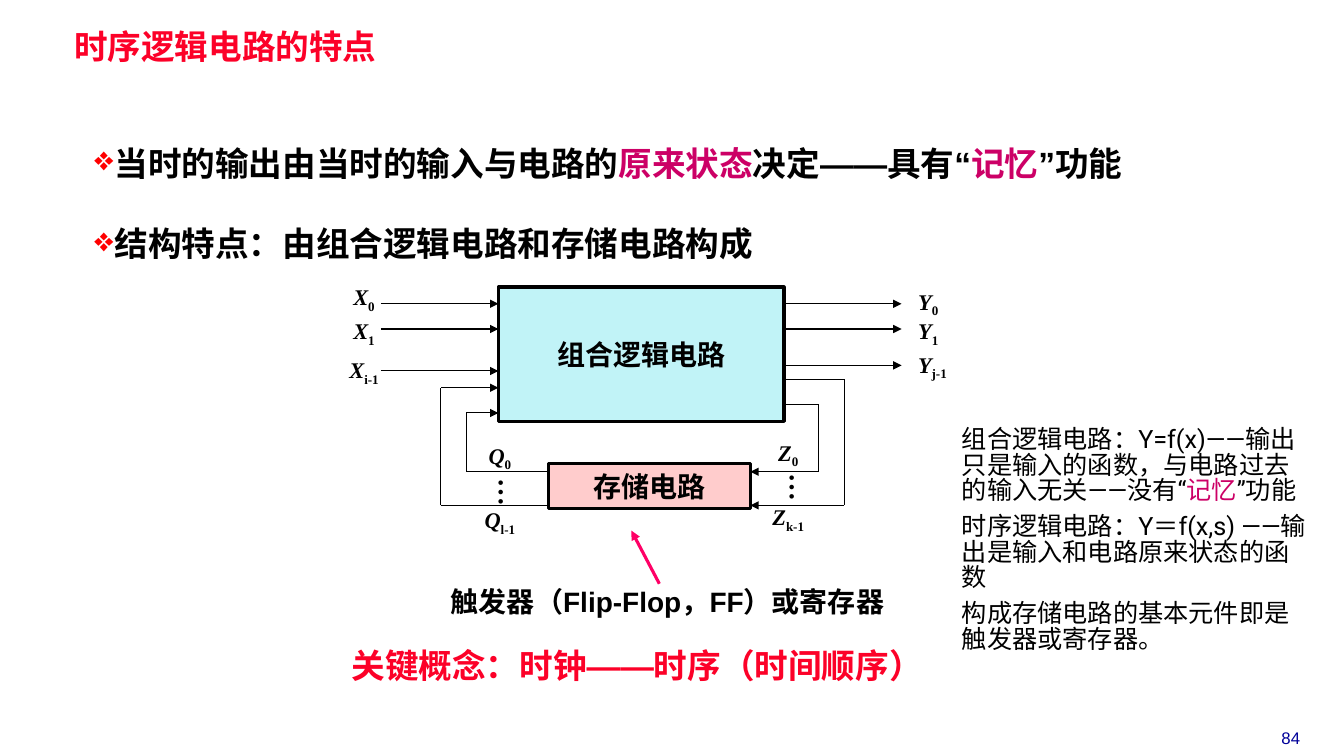
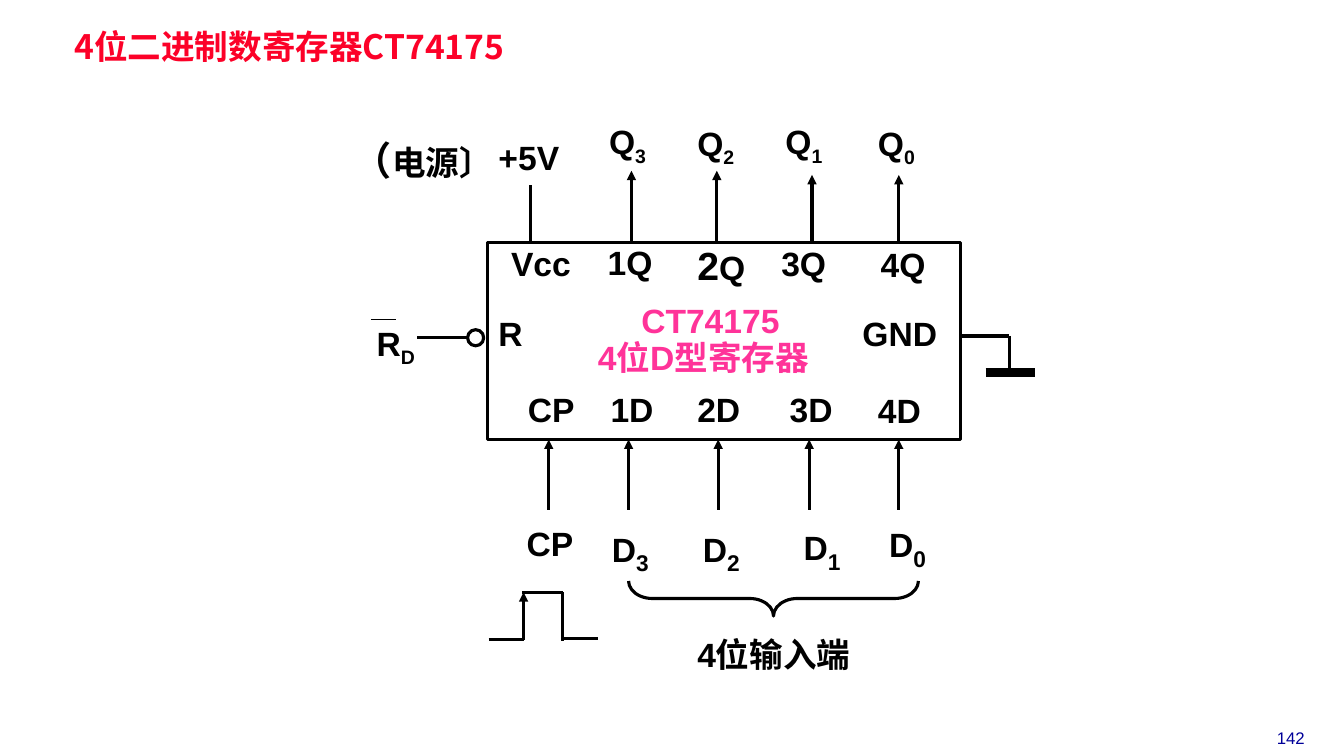
from itertools import pairwise

from lxml import etree
from pptx import Presentation
from pptx.dml.color import RGBColor
from pptx.enum.shapes import MSO_CONNECTOR, MSO_SHAPE
from pptx.enum.text import MSO_ANCHOR, MSO_AUTO_SIZE, PP_ALIGN
from pptx.oxml.ns import qn
from pptx.util import Pt

STRAIGHT = MSO_CONNECTOR.STRAIGHT
RECT, OVAL, BRACE = MSO_SHAPE.RECTANGLE, MSO_SHAPE.OVAL, MSO_SHAPE.LEFT_BRACE
LEFT, CENTER = PP_ALIGN.LEFT, PP_ALIGN.CENTER
TOP, MIDDLE = MSO_ANCHOR.TOP, MSO_ANCHOR.MIDDLE

COLORS = {
    "black": "000000", "white": "FFFFFF", "title": "FC0128", "page": "000099",
    "bullet": "FF0000", "accent": "CC0066", "pointer": "FF0066",
    "logic": "C1F3F7", "storage": "FFCCCC", "chip": "FF3399",
}
SANS, SERIF, HAN, NOTE = "Arial", "Times New Roman", "Noto Sans CJK SC", "Roboto"
ACCENT = {"color": "accent"}
SUB = {"base": -25}
THIN, THICK, GROUND = 0.75, 2.25, 6

FEATURES = [
    [("当时的输出由当时的输入与电路的", {}), ("原来状态", ACCENT),
     ("决定——具有“", {}), ("记忆", ACCENT), ("”功能", {})],
    [("结构特点：由组合逻辑电路和存储电路构成", {})],
]
COMPARISON = [
    [("组合逻辑电路：Y=f(x)——输出只是输入的函数，与电路过去的输入无关——没有“", {}),
     ("记忆", ACCENT), ("”功能", {})],
    [("时序逻辑电路：Y＝f(x,s) ——输出是输入和电路原来状态的函数", {})],
    [("构成存储电路的基本元件即是触发器或寄存器。", {})],
]
STORAGE_NOTE = [[("触发器（", {"font": HAN}), ("Flip-Flop，FF", {}),
                 ("）或寄存器", {"font": HAN})]]
KEY_CONCEPT = [[("关键概念：时钟——时序（时间顺序）", {})]]

BLOCKS = [
    ("组合逻辑电路", (356, 205, 204, 96), "logic"),
    ("存储电路", (392, 331, 144, 32), "storage"),
]
INPUT_ROWS = [217, 235, 265]
OUTPUT_ROWS = [217, 235, 261]
FEEDBACK = [
    [(560, 289), (585, 289), (585, 337), (536, 337)],
    [(560, 271), (603, 271), (603, 361), (536, 361)],
    [(392, 337), (333, 337), (333, 295), (356, 295)],
    [(392, 361), (315, 361), (315, 277), (356, 277)],
]
SIGNALS = [
    ("X", "0", 236, 199), ("X", "1", 236, 223), ("X", "i-1", 236, 251),
    ("Y", "0", 639, 202), ("Y", "1", 639, 223), ("Y", "j-1", 642, 247),
    ("Q", "0", 333, 312), ("Q", "l-1", 333, 358),
    ("Z", "0", 539, 310), ("Z", "k-1", 539, 356),
]
ELLIPSES = [(341, 336), (549, 333)]

CHIP = (348, 173, 338, 141)
OUTPUT_PINS = [(451, 122), (512, 122), (580, 125), (642, 125)]
INPUT_PINS = [392, 449, 513, 578, 642]
CHIP_WIRES = [
    [(379, 173), (379, 132)],
    [(298, 241), (335, 241)],
    [(686, 240), (721, 240), (721, 266)],
    [(373, 423), (402, 423), (402, 458)],
    [(349, 457), (374, 457)],
    [(402, 456), (427, 456)],
]
CHIP_LABELS = [
    ("Vcc", 358, 170), ("1Q", 427, 169), ("3Q", 551, 170), ("4Q", 622, 171),
    ("R", 349, 220), ("GND", 609, 220),
    ("CP", 370, 274), ("1D", 429, 274), ("2D", 491, 274), ("3D", 557, 274),
    ("4D", 620, 275), ("CP", 369, 370), ("+5V", 349, 94), ("4位输入端", 491, 449),
]
CHIP_NAME = [("CT74175", 451, 211), ("4位D型寄存器", 420, 237)]
SUBSCRIPTED = [
    ("Q", "3", 428, 83, 24), ("Q", "2", 491, 84, 24), ("Q", "1", 554, 83, 24),
    ("Q", "0", 620, 84, 24),
    ("D", "3", 430, 370, 28), ("D", "2", 495, 370, 28), ("D", "1", 567, 369, 28),
    ("D", "0", 628, 367, 28), ("R", "D", 262, 227, 24),
]
MIXED_SIZES = [
    ([("2", {"size": 28}), ("Q", {})], 491, 169),
    ([("（", {"size": 28}), ("电源〕", {})], 245, 94),
]


def rgb(name):
    return RGBColor.from_string(COLORS[name])


def add_run(paragraph, text, font=SANS, size=24, color="black", bold=True,
            italic=False, base=None):
    run = paragraph.add_run()
    run.text = text
    run.font.name, run.font.size = font, Pt(size)
    run.font.bold, run.font.italic = bold, italic
    run.font.color.rgb = rgb(color)
    props = run.font._element
    east_asian = etree.Element(qn("a:ea"), typeface=font)
    props.find(qn("a:latin")).addnext(east_asian)
    if base:
        props.set("baseline", str(base * 1000))


def fill_text(shape, paragraphs, style, align=LEFT, anchor=TOP, insets=(7.2, 3.6),
              spacing=None, gap=0, bullet=None, wrap=True):
    frame = shape.text_frame
    frame.auto_size = MSO_AUTO_SIZE.NONE
    frame.word_wrap = wrap
    frame.vertical_anchor = anchor
    frame.margin_left = frame.margin_right = Pt(insets[0])
    frame.margin_top = frame.margin_bottom = Pt(insets[1])
    for index, runs in enumerate(paragraphs):
        paragraph = frame.add_paragraph() if index else frame.paragraphs[0]
        paragraph.alignment = align
        if spacing:
            paragraph.line_spacing = spacing
        paragraph.space_before = Pt(gap if index else 0)
        if bullet:
            props = paragraph._p.get_or_add_pPr()
            props.set("marL", str(Pt(28.8)))
            props.set("indent", str(-Pt(14.4)))
            tint = etree.SubElement(props, qn("a:buClr"))
            etree.SubElement(tint, qn("a:srgbClr"), val=COLORS["bullet"])
            etree.SubElement(props, qn("a:buChar"), char=bullet)
        for text, changes in runs:
            add_run(paragraph, text, **{**style, **changes})


def add_text(slide, place, paragraphs, style, **layout):
    box = slide.shapes.add_textbox(*map(Pt, place))
    fill_text(box, paragraphs, style, **layout)
    return box


def add_block(slide, kind, place, fill=None):
    block = slide.shapes.add_shape(kind, *map(Pt, place))
    block.shadow.inherit = False
    if fill:
        block.fill.solid()
        block.fill.fore_color.rgb = rgb(fill)
    else:
        block.fill.background()
    block.line.color.rgb = rgb("black")
    block.line.width = Pt(THICK)
    return block


def add_wire(slide, points, width, arrow=False, color="black"):
    for start, end in pairwise(points):
        wire = slide.shapes.add_connector(STRAIGHT, *map(Pt, start + end))
        wire.line.color.rgb = rgb(color)
        wire.line.width = Pt(width)
        if arrow and end == points[-1]:
            etree.SubElement(wire.line._get_or_add_ln(), qn("a:tailEnd"), type="triangle")
        etree.SubElement(wire._element.spPr, qn("a:effectLst"))


def add_slide(deck, title, page):
    slide = deck.slides.add_slide(deck.slide_layouts[5])
    heading = slide.shapes.title
    heading.left, heading.top, heading.width, heading.height = map(Pt, (48, 20, 505, 30))
    fill_text(heading, [[(title, {})]], {"font": HAN, "color": "title"},
              anchor=MIDDLE, insets=(5, 2), spacing=0.87)
    add_text(slide, (888, 516, 68, 22), [[(page, {})]],
             {"size": 12, "color": "page", "bold": False}, align=CENTER)
    return slide


def build_features(deck):
    slide = add_slide(deck, "时序逻辑电路的特点", "84")
    add_text(slide, (48, 71, 829, 111), FEATURES, {}, insets=(5, 2), spacing=2.0,
             bullet="❖")
    for name, place, fill in BLOCKS:
        block = add_block(slide, RECT, place, fill)
        fill_text(block, [[(name, {})]], {"size": 20}, align=CENTER, anchor=MIDDLE)
    for left, rows in ((272, INPUT_ROWS), (560, OUTPUT_ROWS)):
        for y in rows:
            add_wire(slide, [(left, y), (left + 84, y)], THIN, arrow=True)
    for route in FEEDBACK:
        add_wire(slide, route, THIN, arrow=True)
    for letter, index, left, top in SIGNALS:
        add_text(slide, (left, top, 48, 27), [[(letter, {"italic": True}), (index, SUB)]],
                 {"font": SERIF, "size": 16}, align=CENTER)
    for left, top in ELLIPSES:
        dots = add_text(slide, (left, top, 35, 31), [[("…", {})]],
                        {"font": HAN, "size": 20}, align=CENTER)
        dots.rotation = 90
    add_wire(slide, [(471, 417), (451, 379)], THICK, arrow=True, color="pointer")
    add_text(slide, (315, 417, 338, 29), STORAGE_NOTE, {"size": 20}, spacing=0.9)
    add_text(slide, (244, 457, 463, 36), KEY_CONCEPT, {"color": "title"})
    add_text(slide, (680, 302, 261, 192), COMPARISON,
             {"font": NOTE, "size": 18, "bold": False}, spacing=0.85, gap=7.2)


def build_register(deck):
    slide = add_slide(deck, "4位二进制数寄存器CT74175", "142")
    add_block(slide, RECT, CHIP, "white")
    add_block(slide, OVAL, (334, 235.5, 11.5, 11.5), "white")
    brace = add_block(slide, BRACE, (540, 324, 25, 207))
    brace.rotation = 270
    brace.adjustments[0] = 0.68
    for x, tip in OUTPUT_PINS:
        add_wire(slide, [(x, 173), (x, tip)], THICK, arrow=True)
    for x in INPUT_PINS:
        add_wire(slide, [(x, 364), (x, 314)], THICK, arrow=True)
    for route in CHIP_WIRES:
        add_wire(slide, route, THICK)
    add_wire(slide, [(374, 457), (374, 423)], THICK, arrow=True)
    add_wire(slide, [(704, 266), (739, 266)], GROUND)
    add_wire(slide, [(265, 228), (283, 228)], THIN)
    for labels, color in ((CHIP_LABELS, "black"), (CHIP_NAME, "chip")):
        for text, left, top in labels:
            add_text(slide, (left, top, 30 + 12 * len(text), 36), [[(text, {})]],
                     {"color": color}, wrap=False)
    for letter, index, left, top, size in SUBSCRIPTED:
        add_text(slide, (left, top, 50, 40), [[(letter, {}), (index, {**SUB, "size": size})]],
                 {}, wrap=False)
    for runs, left, top in MIXED_SIZES:
        add_text(slide, (left, top, 130, 41), [runs], {}, wrap=False)


def main():
    deck = Presentation()
    deck.slide_width, deck.slide_height = Pt(960), Pt(540)
    build_features(deck)
    build_register(deck)
    deck.save("out.pptx")


if __name__ == "__main__":
    main()
